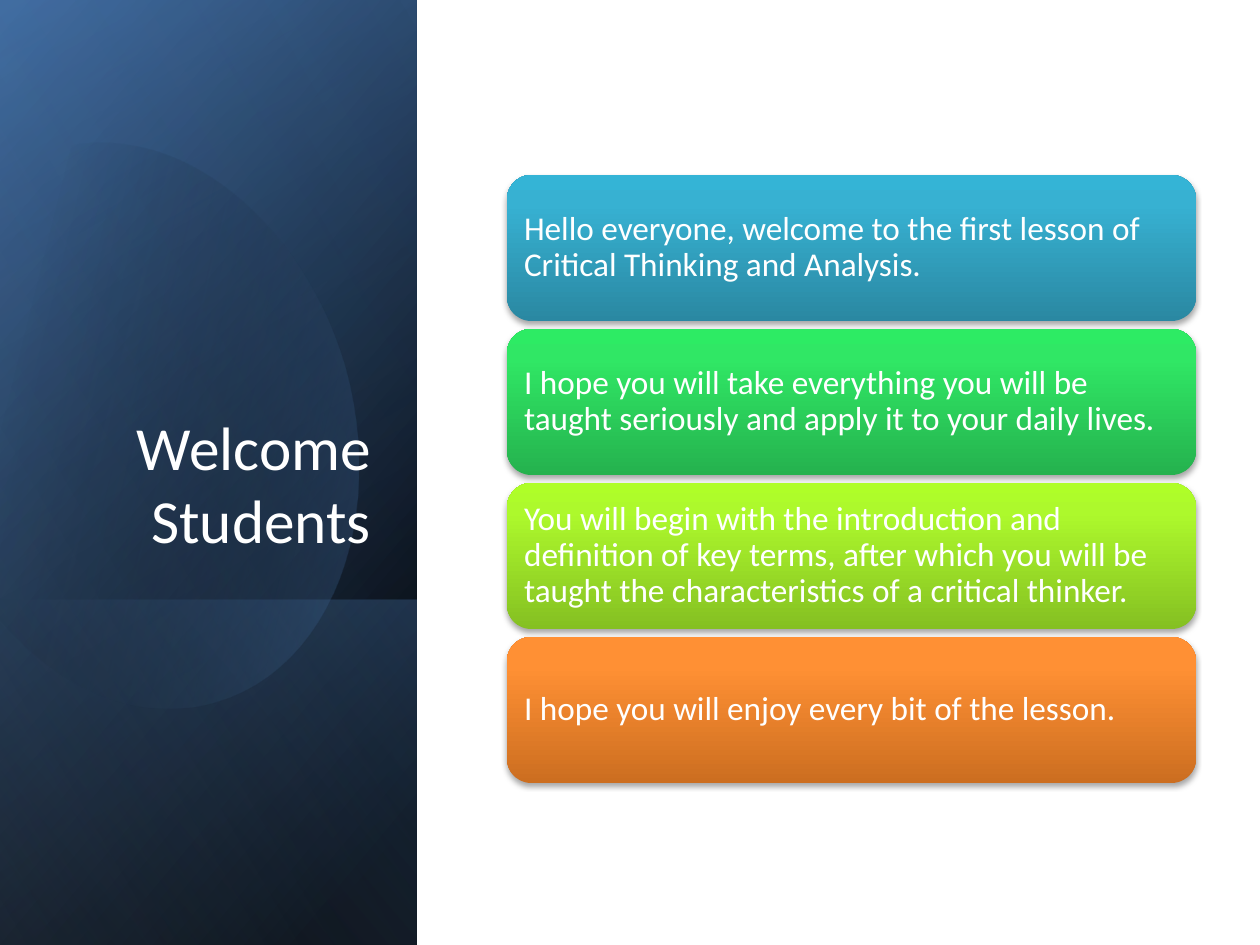
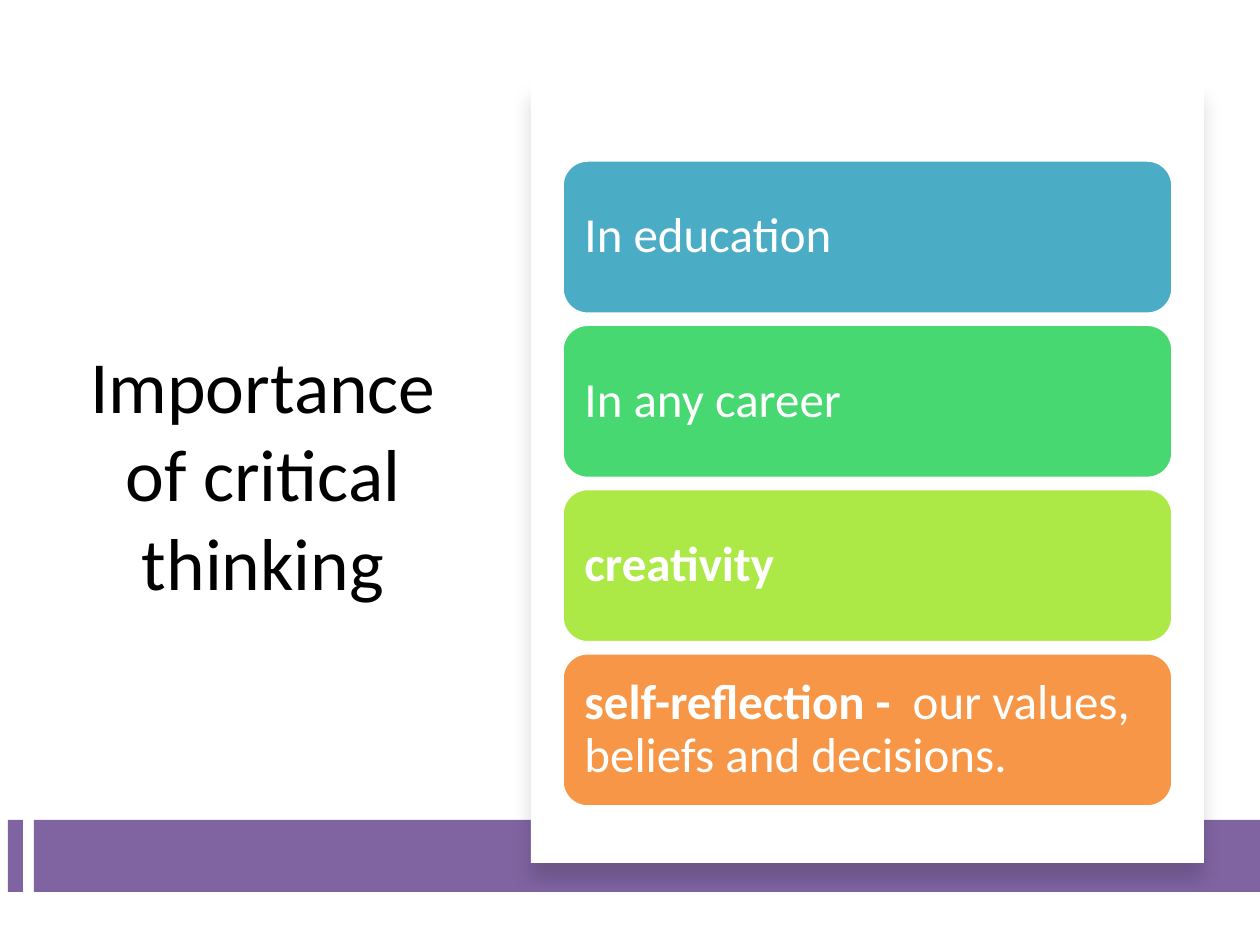
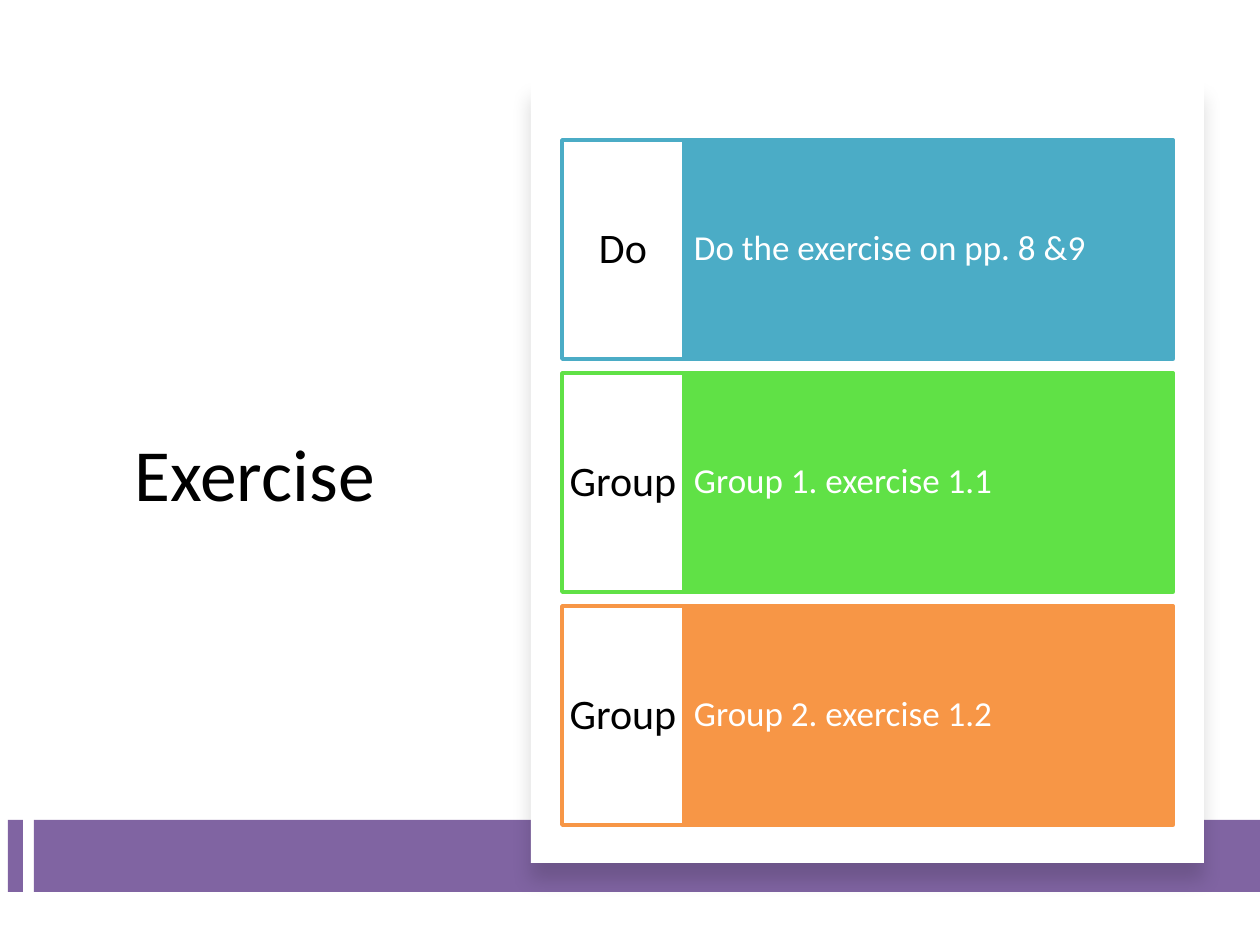
from math import cos, radians, sin

from pptx import Presentation
from pptx.dml.color import RGBColor
from pptx.enum.shapes import MSO_SHAPE
from pptx.enum.text import MSO_ANCHOR, MSO_AUTO_SIZE, PP_ALIGN
from pptx.oxml import parse_xml
from pptx.oxml.ns import nsdecls, qn
from pptx.util import Emu, Pt

SCALE = 914400 / 126
FONT = "Calibri"
C = {
    "white": "FFFFFF", "black": "000000", "purple": "8064A2",
    "blue": "4F81BD", "navy": "376092", "mist": "95B3D7",
    "teal": "4BACC6", "green": "47D872", "grass": "60E146",
    "lime": "ACE946", "orange": "F79646",
}
CARD_GRADS = [
    ("2A88A2", "37B1D2", "34B4D6"),
    ("25B24E", "30E765", "2DEB64"),
    ("85C022", "ADF92C", "AFFE28"),
    ("CC6E20", "FF9034", "FF9136"),
]
EGG_START = (121, 144)
EGG_STEPS = [
    (215, 154, 307, 242, 344, 365),
    (387, 519, 330, 669, 215, 702),
    (144, 723, 67, 693, 9, 630),
    (-4, 615),
    (-31, 209),
    (-19, 194),
    (3, 173, 28, 158, 57, 149),
    (78, 143, 100, 141, 121, 144),
]
EGG_CENTER = (150, 421)
EGG_TILT = 16.1


def px(n):
    """Turn pixels into EMU."""
    return Emu(round(n * SCALE))


def rgb(name):
    """Return the named colour."""
    return RGBColor.from_string(C[name])


def put_text(tf, text, size=20, color="white", align=PP_ALIGN.LEFT,
             anchor=MSO_ANCHOR.MIDDLE, inset=(12, 6), spacing=0.9):
    """Write one paragraph from a string or a list of (text, bold) runs."""
    tf.word_wrap = True
    tf.auto_size = MSO_AUTO_SIZE.NONE
    tf.vertical_anchor = anchor
    tf.margin_left = tf.margin_right = px(inset[0])
    tf.margin_top = tf.margin_bottom = px(inset[1])
    p = tf.paragraphs[0]
    p.alignment = align
    p.line_spacing = spacing
    for part, bold in [(text, False)] if isinstance(text, str) else text:
        r = p.add_run()
        r.text = part
        r.font.name = FONT
        r.font.size = Pt(size)
        r.font.bold = bold
        r.font.color.rgb = rgb(color)


def put_title(s, box, text, **fmt):
    """Move the title placeholder to the front and fill it."""
    title = s.shapes.title
    s.shapes._spTree.append(title._element)
    title.left, title.top, title.width, title.height = map(px, box)
    put_text(title.text_frame, text, spacing=1.0, **fmt)


def add_box(s, box, fill=None, line=None, kind=MSO_SHAPE.RECTANGLE):
    """Add a flat shape with an optional solid fill and outline."""
    sp = s.shapes.add_shape(kind, *map(px, box))
    sp.shadow.inherit = False
    if fill:
        sp.fill.solid()
        sp.fill.fore_color.rgb = rgb(fill)
    if line:
        sp.line.color.rgb = rgb(line)
        sp.line.width = Pt(2)
    else:
        sp.line.fill.background()
    return sp


def set_gradient(sp, stops, angle):
    """Fill a shape with (position, hex, opacity) stops along an angle."""
    gs = "".join(
        f'<a:gs pos="{pos * 1000}"><a:srgbClr val="{color}">'
        f'<a:alpha val="{alpha * 1000}"/></a:srgbClr></a:gs>'
        for pos, color, alpha in stops)
    sp.fill.background()
    spPr = sp._element.spPr
    spPr.replace(spPr.find(qn("a:noFill")), parse_xml(
        f'<a:gradFill {nsdecls("a")} rotWithShape="1"><a:gsLst>{gs}</a:gsLst>'
        f'<a:lin ang="{angle * 60000}" scaled="0"/></a:gradFill>'))


def set_shadow(sp, opacity, blur, dist):
    """Give a shape a soft black shadow that falls downwards."""
    sp._element.spPr.find(qn("a:effectLst")).append(parse_xml(
        f'<a:outerShdw {nsdecls("a")} blurRad="{Pt(blur)}" dist="{Pt(dist)}" '
        f'dir="5400000" algn="t" rotWithShape="0"><a:srgbClr val="{C["black"]}">'
        f'<a:alpha val="{opacity * 1000}"/></a:srgbClr></a:outerShdw>'))


def stack(box, count, gap):
    """Split a box into equal rows with a fixed gap."""
    x, y, w, h = box
    row = (h - gap * (count - 1)) / count
    return [(x, y + i * (row + gap), w, row) for i in range(count)]


def add_layer(s, box, stops, angle):
    """Add a mirrored quarter-turned gradient rectangle that covers the box."""
    x, y, w, h = box
    sp = add_box(s, (x + (w - h) / 2, y + (h - w) / 2, h, w))
    sp._element.spPr.xfrm.set("flipH", "1")
    sp.rotation = 90
    set_gradient(sp, stops, angle)


def egg_points():
    """Trace the egg outline, following curves in short steps."""
    points = [EGG_START]
    for step in EGG_STEPS:
        if len(step) == 2:
            points.append(step)
            continue
        ctrl = [points[-1], step[:2], step[2:4], step[4:]]
        for i in range(1, 25):
            t = i / 24
            weights = ((1 - t) ** 3, 3 * t * (1 - t) ** 2, 3 * t * t * (1 - t), t ** 3)
            points.append(tuple(sum(k * c[axis] for k, c in zip(weights, ctrl))
                                for axis in (0, 1)))
    return points


def add_egg(s, x, y):
    """Add the tilted translucent egg to a sidebar that starts at x, y."""
    cx, cy = EGG_CENTER
    co, si = cos(radians(EGG_TILT)), sin(radians(EGG_TILT))
    points = [(px(x + cx + (a - cx) * co - (b - cy) * si),
               px(y + cy + (a - cx) * si + (b - cy) * co)) for a, b in egg_points()]
    fb = s.shapes.build_freeform(*points[0], scale=1.0)
    fb.add_line_segments(points[1:], close=True)
    sp = fb.convert_to_shape()
    sp.shadow.inherit = False
    sp.line.fill.background()
    sp.rotation = 360 - EGG_TILT
    set_gradient(sp, [(29, C["black"], 0), (100, C["blue"], 43)], 30)


def add_sidebar(s, box, title):
    """Layer the dark gradient sidebar and its title."""
    x, y, w, h = box
    add_layer(s, box, [(8, C["black"], 100), (100, C["navy"], 100)], 50)
    add_layer(s, box, [(0, C["black"], 0), (99, C["blue"], 46)], 30)
    add_layer(s, (x, y + 600, w, h - 600),
              [(2, C["blue"], 29), (100, C["black"], 30)], 130)
    add_egg(s, x, y)
    add_layer(s, box, [(0, C["black"], 0), (99, C["mist"], 11)], 120)
    put_title(s, (x + 60, y + 232, 323, 330), title, size=35,
              align=PP_ALIGN.RIGHT, anchor=MSO_ANCHOR.BOTTOM)


def add_gradient_cards(s, box, texts):
    """Stack shaded rounded cards, one for each text."""
    for row, text, colors in zip(stack(box, len(texts), 8), texts, CARD_GRADS):
        sp = add_box(s, row, kind=MSO_SHAPE.ROUNDED_RECTANGLE)
        set_gradient(sp, [(pos, c, 100) for pos, c in zip((0, 80, 100), colors)], 270)
        set_shadow(sp, 35, 3.1, 1.8)
        put_text(sp.text_frame, text, size=19, inset=(10, 10))


def add_flat_cards(s, box, cards):
    """Stack flat rounded cards from (colour, text) pairs."""
    for row, (color, text) in zip(stack(box, len(cards), 10), cards):
        sp = add_box(s, row, color, "white", MSO_SHAPE.ROUNDED_RECTANGLE)
        put_text(sp.text_frame, text, size=28, inset=(15, 15))


def add_tagged_rows(s, box, rows):
    """Stack rows with a white tag on the left and a coloured detail."""
    tag_w = 122
    for (x, y, w, h), (color, tag, detail) in zip(stack(box, len(rows), 14), rows):
        sp = add_box(s, (x + tag_w, y, w - tag_w, h), color, color)
        put_text(sp.text_frame, detail, size=20, inset=(10, 55))
        sp = add_box(s, (x, y, tag_w, h), "white", color)
        put_text(sp.text_frame, tag, size=24, color="black",
                 align=PP_ALIGN.CENTER, inset=(6, 21))


def add_panel_frame(s, title):
    """Lay out the title, the purple band and the raised white panel."""
    put_title(s, (67, 151, 392, 643), title, size=42, color="black",
              align=PP_ALIGN.CENTER)
    for x, w in ((8, 15), (34, 1226)):
        add_box(s, (x, 820, w, 72), "purple")
    set_shadow(add_box(s, (531, 81, 673, 782), "white"), 15, 11, 10)


def main():
    """Build the three slides and save them."""
    prs = Presentation()
    prs.slide_width, prs.slide_height = px(1260), px(945)
    welcome, importance, exercise = [
        prs.slides.add_slide(prs.slide_layouts[5]) for _ in range(3)]

    add_sidebar(welcome, (0, 0, 417, 945), "Welcome Students")
    add_gradient_cards(welcome, (507, 175, 689, 608), [
        "Hello everyone, welcome to the first lesson of Critical Thinking and Analysis.",
        "I hope you will take everything you will be taught seriously and apply it "
        "to your daily lives.",
        "You will begin with the introduction and definition of key terms, after which "
        "you will be taught the characteristics of a critical thinker.",
        "I hope you will enjoy every bit of the lesson.",
    ])

    add_panel_frame(importance, "Importance of critical thinking")
    add_flat_cards(importance, (562, 160, 611, 647), [
        ("teal", "In education"),
        ("green", "In any career"),
        ("lime", [("creativity", True)]),
        ("orange", [("self-reflection - ", True),
                    (" our values, beliefs and decisions.", False)]),
    ])

    add_panel_frame(exercise, "Exercise ")
    add_tagged_rows(exercise, (562, 140, 611, 685), [
        ("teal", "Do", "Do the exercise on pp. 8 &9"),
        ("grass", "Group", "Group 1. exercise 1.1"),
        ("orange", "Group", "Group 2. exercise 1.2"),
    ])
    prs.save("out.pptx")


if __name__ == "__main__":
    main()
